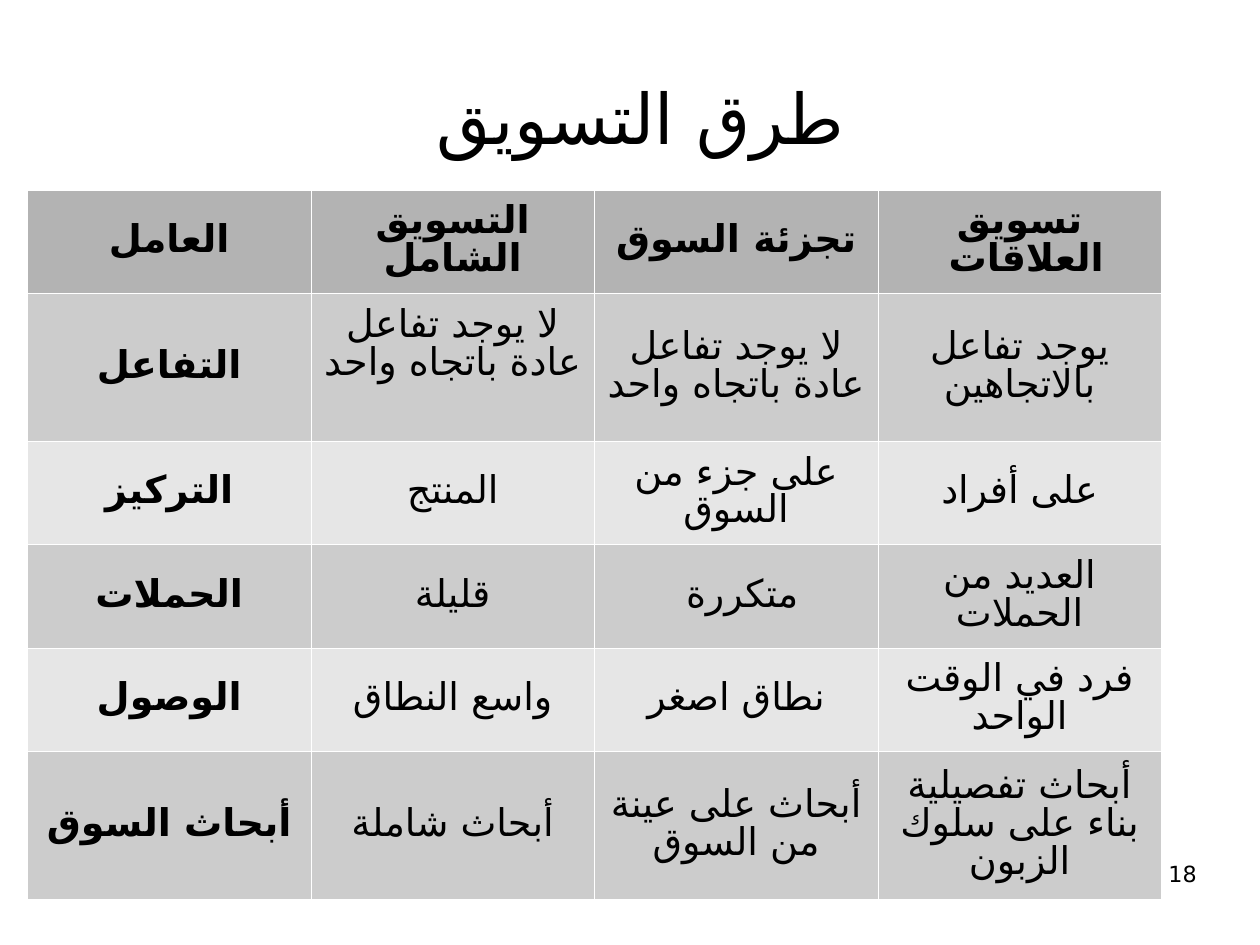
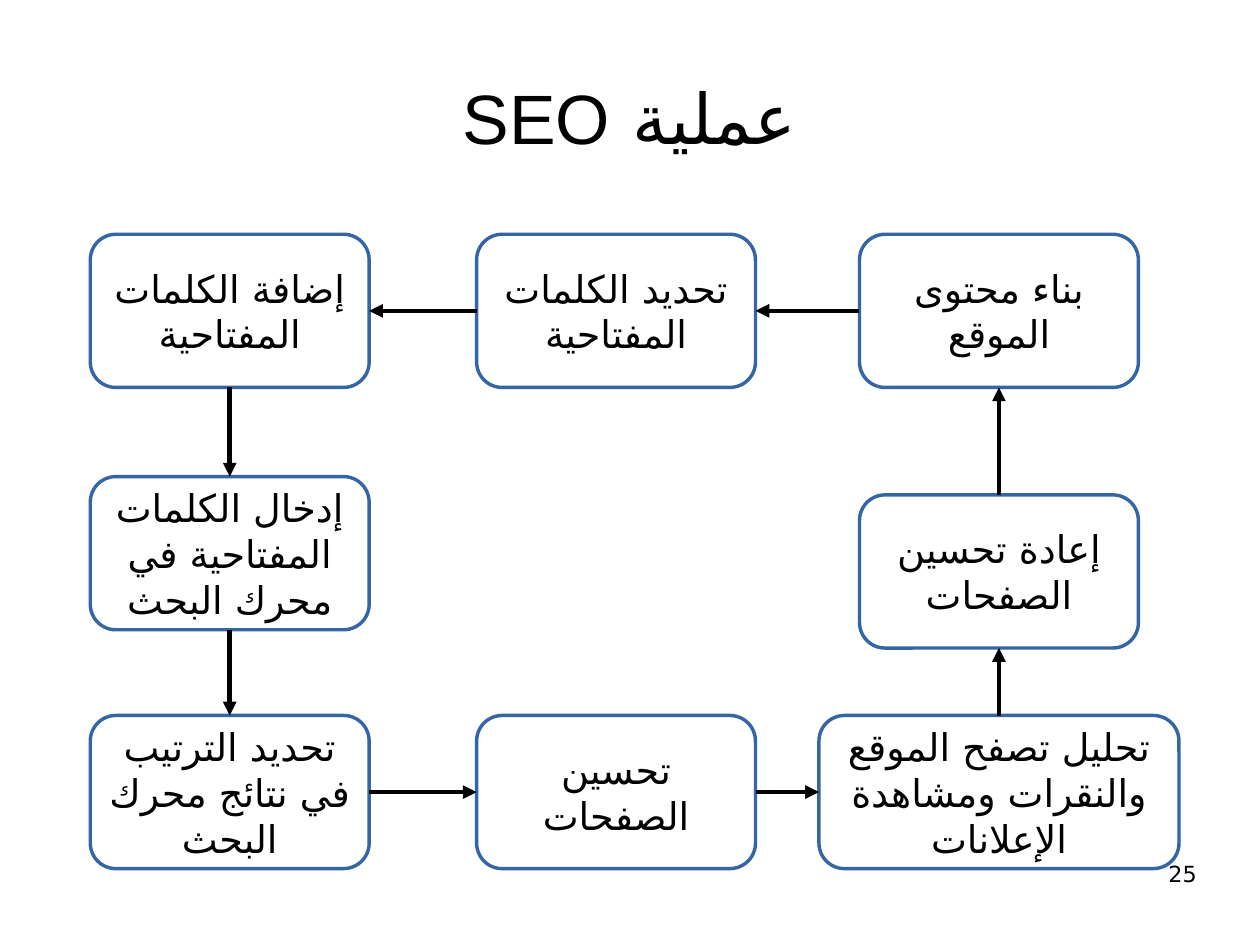
"""Builds two Arabic slides: a table of marketing methods and the SEO cycle."""
from lxml import etree
from pptx import Presentation
from pptx.dml.color import RGBColor
from pptx.enum import shapes, text
from pptx.oxml import ns
from pptx.util import Inches, Pt

BLACK = RGBColor(0x00, 0x00, 0x00)
WHITE = RGBColor(0xFF, 0xFF, 0xFF)
BLUE = RGBColor(0x34, 0x65, 0xA4)
HEAD = RGBColor(0xB3, 0xB3, 0xB3)
DARK = RGBColor(0xCC, 0xCC, 0xCC)
LIGHT = RGBColor(0xE6, 0xE6, 0xE6)
CENTER = text.PP_ALIGN.CENTER
MIDDLE = text.MSO_ANCHOR.MIDDLE


def write(frame, words, size, font="Arial", bold=False, align=CENTER):
    """Put one right-to-left run into a text frame."""
    para = frame.paragraphs[0]
    para.alignment = align
    para._p.get_or_add_pPr().set("rtl", "1")
    run = para.add_run()
    run.text = words
    run.font.size = Pt(size)
    run.font.name = font
    run.font.bold = bold
    run.font.color.rgb = BLACK
    script = etree.SubElement(run._r.get_or_add_rPr(), ns.qn("a:cs"))
    script.set("typeface", "DejaVu Sans")
    return para


def start(deck, name, number):
    """Add a slide with its title and page number."""
    slide = deck.slides.add_slide(deck.slide_layouts[5])
    title = slide.shapes.title
    title.left, title.top = Inches(0.55), Inches(0.33)
    title.width, title.height = Inches(9.92), Inches(1.38)
    page = slide.shapes.add_textbox(
        Inches(7.9), Inches(7.53), Inches(2.57), Inches(0.57))
    for box in (title, page):
        frame = box.text_frame
        frame.word_wrap = True
        frame.margin_left = frame.margin_right = 0
        frame.margin_top = frame.margin_bottom = 0
    title.text_frame.vertical_anchor = MIDDLE
    write(title.text_frame, name, 44)
    write(page.text_frame, number, 14, "Times New Roman",
          align=text.PP_ALIGN.RIGHT)
    return slide


deck = Presentation()
deck.slide_width, deck.slide_height = Inches(28 / 2.54), Inches(21 / 2.54)

slide = start(deck, "طرق التسويق ", "18")
rows = [
    ("العامل", "التسويق الشامل", "تجزئة السوق", "تسويق العلاقات "),
    ("التفاعل", "لا يوجد تفاعل عادة باتجاه واحد",
     "لا يوجد تفاعل عادة باتجاه واحد", "يوجد تفاعل بالاتجاهين"),
    ("التركيز", "المنتج", "على جزء من السوق", "على أفراد"),
    ("الحملات", "قليلة", "متكررة ", "العديد من الحملات"),
    ("الوصول", "واسع النطاق", "نطاق اصغر", "فرد في الوقت الواحد"),
    ("أبحاث السوق", "أبحاث شاملة", "أبحاث على عينة من السوق",
     "أبحاث تفصيلية بناء على سلوك الزبون"),
]
heights = [0.9, 1.3, 0.9, 0.91, 0.9, 1.3]
table = slide.shapes.add_table(
    len(rows), 4, Inches(0.24), Inches(1.66), Inches(9.92),
    Inches(sum(heights))).table
table.first_row = table.horz_banding = False
for r, (row, height) in enumerate(zip(rows, heights)):
    table.rows[r].height = Inches(height)
    for c, words in enumerate(row):
        cell = table.cell(r, c)
        props = cell._tc.get_or_add_tcPr()
        for side in ("lnL", "lnR", "lnT", "lnB"):
            edge = etree.SubElement(props, ns.qn("a:" + side), w="720")
            fill = etree.SubElement(edge, ns.qn("a:solidFill"))
            etree.SubElement(fill, ns.qn("a:srgbClr"), val=str(WHITE))
        cell.fill.solid()
        cell.fill.fore_color.rgb = HEAD if r == 0 else DARK if r % 2 else LIGHT
        cell.vertical_anchor = MIDDLE
        cell.margin_left = cell.margin_right = Inches(0.1)
        cell.margin_top = cell.margin_bottom = Inches(0.05)
        para = write(cell.text_frame, words, 24, bold=r == 0 or c == 0)
        para.line_spacing = 0.85
table.cell(1, 1).margin_bottom = Inches(0.43)

slide = start(deck, "عملية SEO", "25")
left, mid, right = 2.01, 5.39, 8.74
top, base = 2.05, 6.26
steps = [
    ("بناء محتوى الموقع", right, top, 2.44, 1, 3),
    ("تحديد الكلمات المفتاحية", mid, top, 2.44, 1, 3),
    ("إضافة الكلمات المفتاحية", left, top, 2.44, 2, 0),
    ("إدخال الكلمات المفتاحية في محرك البحث", left, 4.17, 2.44, 2, 0),
    ("تحديد الترتيب في نتائج محرك البحث", left, base, 2.44, 3, 1),
    ("تحسين الصفحات", mid, base, 2.44, 3, 1),
    ("تحليل تصفح الموقع والنقرات ومشاهدة الإعلانات",
     right, base, 3.15, 0, 2),
    ("إعادة تحسين الصفحات", right, 4.33, 2.44, 0, 2),
]
boxes = []
for words, x, y, width, *_ in steps:
    box = slide.shapes.add_shape(
        shapes.MSO_SHAPE.ROUNDED_RECTANGLE, Inches(x - width / 2), Inches(y),
        Inches(width), Inches(1.34))
    box.shadow.inherit = False
    box.fill.solid()
    box.fill.fore_color.rgb = WHITE
    box.line.color.rgb = BLUE
    box.line.width = Pt(2.15)
    box.text_frame.word_wrap = True
    box.text_frame.vertical_anchor = MIDDLE
    write(box.text_frame, words, 24)
    boxes.append(box)

for i, (*_, out, into) in enumerate(steps):
    arrow = slide.shapes.add_connector(
        shapes.MSO_CONNECTOR.STRAIGHT, 0, 0, 0, 0)
    arrow.begin_connect(boxes[i], out)
    arrow.end_connect(boxes[(i + 1) % len(boxes)], into)
    arrow.line.color.rgb = BLACK
    arrow.line.width = Pt(2.89)
    etree.SubElement(arrow.line._get_or_add_ln(), ns.qn("a:tailEnd"),
                     type="triangle")
    etree.SubElement(arrow._element.spPr, ns.qn("a:effectLst"))

deck.save("out.pptx")
